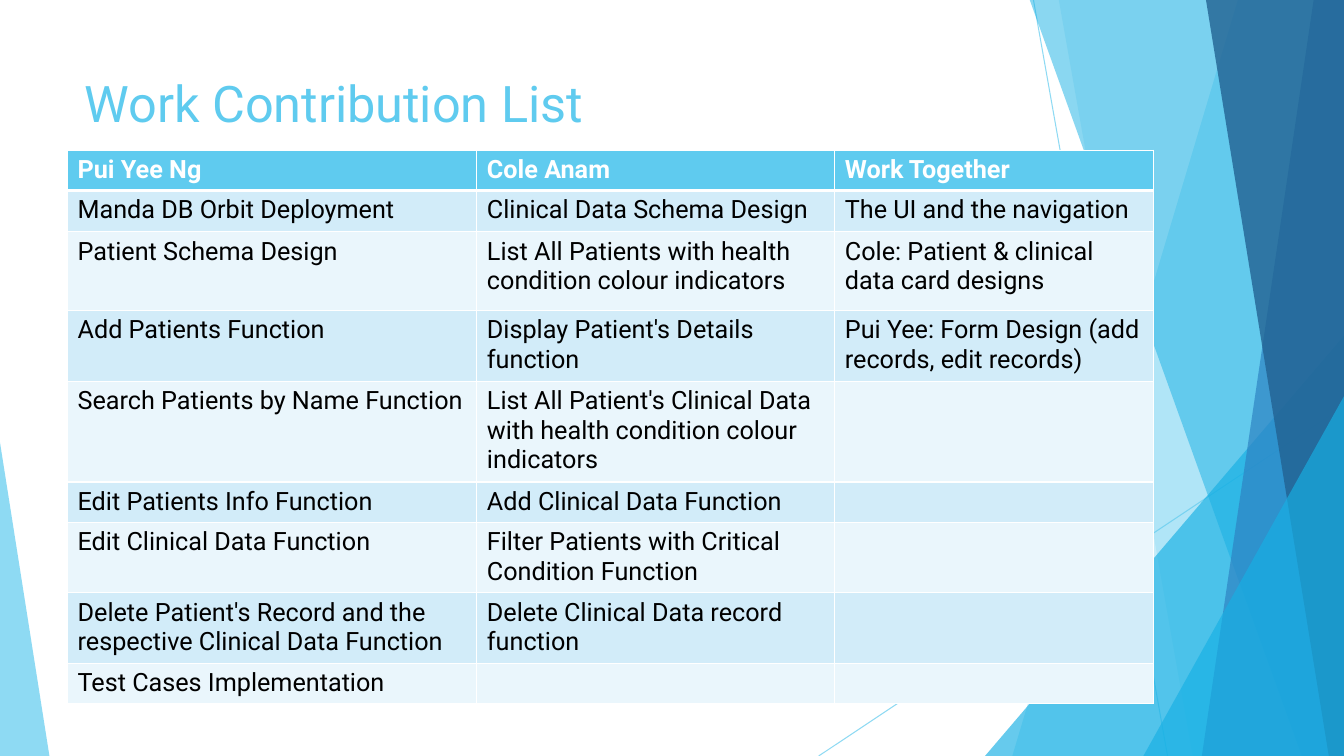
from lxml.etree import SubElement
from pptx import Presentation
from pptx.dml.color import RGBColor
from pptx.enum.shapes import MSO_CONNECTOR, MSO_SHAPE
from pptx.enum.text import MSO_ANCHOR
from pptx.oxml.ns import qn
from pptx.util import Inches, Pt

COLORS = {
    "sky": "5FCBEF", "cyan": "17B0E4", "blue": "2E83C3", "navy": "226292",
    "band_dark": "D2ECF9", "band_light": "EAF6FC", "white": "FFFFFF", "black": "000000",
}


def paint(color_format, name, alpha=100):
    """Colour a solid fill, with an opacity in percent."""
    color_format.fore_color.rgb = RGBColor.from_string(COLORS[name])
    if alpha < 100:
        color = color_format._xPr.find(qn("a:solidFill"))[0]
        SubElement(color, qn("a:alpha"), val=str(alpha * 1000))


def write(frame, text, size, color, bold=False):
    """Put one styled span into a text frame."""
    span = frame.paragraphs[0].add_run()
    span.text = text
    span.font.color.rgb = RGBColor.from_string(COLORS[color])
    for name, value in {"name": "Roboto", "size": Pt(size), "bold": bold}.items():
        setattr(span.font, name, value)


deck = Presentation()
deck.slide_width, deck.slide_height = Inches(13.33), Inches(7.5)
page = deck.slides.add_slide(deck.slide_layouts[6])

# Thin crossing lines
for ends in [(10.25, 0, 11.58, 7.5), (13.33, 4.03, 8.12, 7.5)]:
    line = page.shapes.add_connector(MSO_CONNECTOR.STRAIGHT, *[Inches(end) for end in ends])
    line.line.width = Pt(0.75)
    line.line.fill.solid()
    paint(line.line.fill, "sky", 70)
    SubElement(line._element.spPr, qn("a:effectLst"))

# Facets, back to front: a band holds its left edge at top and bottom,
# a triangle holds its place and the position of its tip
facets = [
    ("band", (12.28, 10.04), "sky", 36),
    ("band", (10.5, 11.83), "sky", 20),
    ("triangle", (9.77, 3.33, 3.56, 4.17, 1), "cyan", 66),
    ("band", (10.21, 12.91), "cyan", 50),
    ("band", (13.03, 11.92), "blue", 70),
    ("band", (11.96, 13.18), "navy", 80),
    ("triangle", (11.34, 3.93, 1.99, 3.57, 1), "cyan", 66),
    ("triangle", (0, 4.39, 0.49, 3.11, 0), "sky", 70),
]
for kind, place, color, alpha in facets:
    if kind == "band":
        top_left, bottom_left = place
        outline = [(top_left, -0.01), (13.33, -0.01), (13.33, 7.5), (bottom_left, 7.5)]
        points = [(Inches(x), Inches(y)) for x, y in outline]
        builder = page.shapes.build_freeform(*points[0])
        builder.add_line_segments(points[1:], close=True)
        facet = builder.convert_to_shape()
    else:
        *bounds, tip = place
        facet = page.shapes.add_shape(
            MSO_SHAPE.ISOSCELES_TRIANGLE, *[Inches(bound) for bound in bounds])
        facet.adjustments[0] = tip
    facet.shadow.inherit = False
    facet.line.fill.background()
    facet.fill.solid()
    paint(facet.fill, color, alpha)

# Title
title = page.shapes.add_textbox(Inches(0.74), Inches(0.67), Inches(9.41), Inches(0.82))
title.text_frame.word_wrap = True
title.text_frame.vertical_anchor = MSO_ANCHOR.TOP
write(title.text_frame, "Work Contribution List", 36, "sky")

# Contribution table
rows = [
    (0.4, "Pui Yee Ng", "Cole Anam", "Work Together"),
    (0.41, "Manda DB Orbit Deployment", "Clinical Data Schema Design",
     "The UI and the navigation"),
    (0.78, "Patient Schema Design", "List All Patients with health condition colour indicators",
     "Cole: Patient & clinical data card designs"),
    (0.7, "Add Patients Function", "Display Patient's Details function",
     "Pui Yee: Form Design (add records, edit records)"),
    (0.99, "Search Patients by Name Function",
     "List All Patient's Clinical Data with health condition colour indicators", ""),
    (0.4, "Edit Patients Info Function", "Add Clinical Data Function", ""),
    (0.4 + 0.3, "Edit Clinical Data Function",
     "Filter Patients with Critical Condition Function", ""),
    (0.7, "Delete Patient's Record and the respective Clinical Data Function",
     "Delete Clinical Data record function", ""),
    (0.4, "Test Cases Implementation", "", ""),
]
table = page.shapes.add_table(
    len(rows), 3, Inches(0.67), Inches(1.49), Inches(10.78), Inches(5.49)).table
for column, width in zip(table.columns, (4.06, 3.55, 3.16)):
    column.width = Inches(width)

for row_index, (height, *texts) in enumerate(rows):
    table.rows[row_index].height = Inches(height)
    header = row_index == 0
    band = "sky" if header else ("band_light", "band_dark")[row_index % 2]
    for column_index, text in enumerate(texts):
        cell = table.cell(row_index, column_index)
        # White rules, thicker between the header and the body
        for side in ("L", "R", "T", "B"):
            thick = (row_index, side) in [(0, "B"), (1, "T")]
            border = SubElement(cell._tc.get_or_add_tcPr(), qn(f"a:ln{side}"),
                                w=str(Pt(3 if thick else 1)))
            SubElement(SubElement(border, qn("a:solidFill")), qn("a:srgbClr"),
                       val=COLORS["white"])
        cell.fill.solid()
        paint(cell.fill, band)
        if text:
            write(cell.text_frame, text, 18, "white" if header else "black", header)

deck.save("out.pptx")
